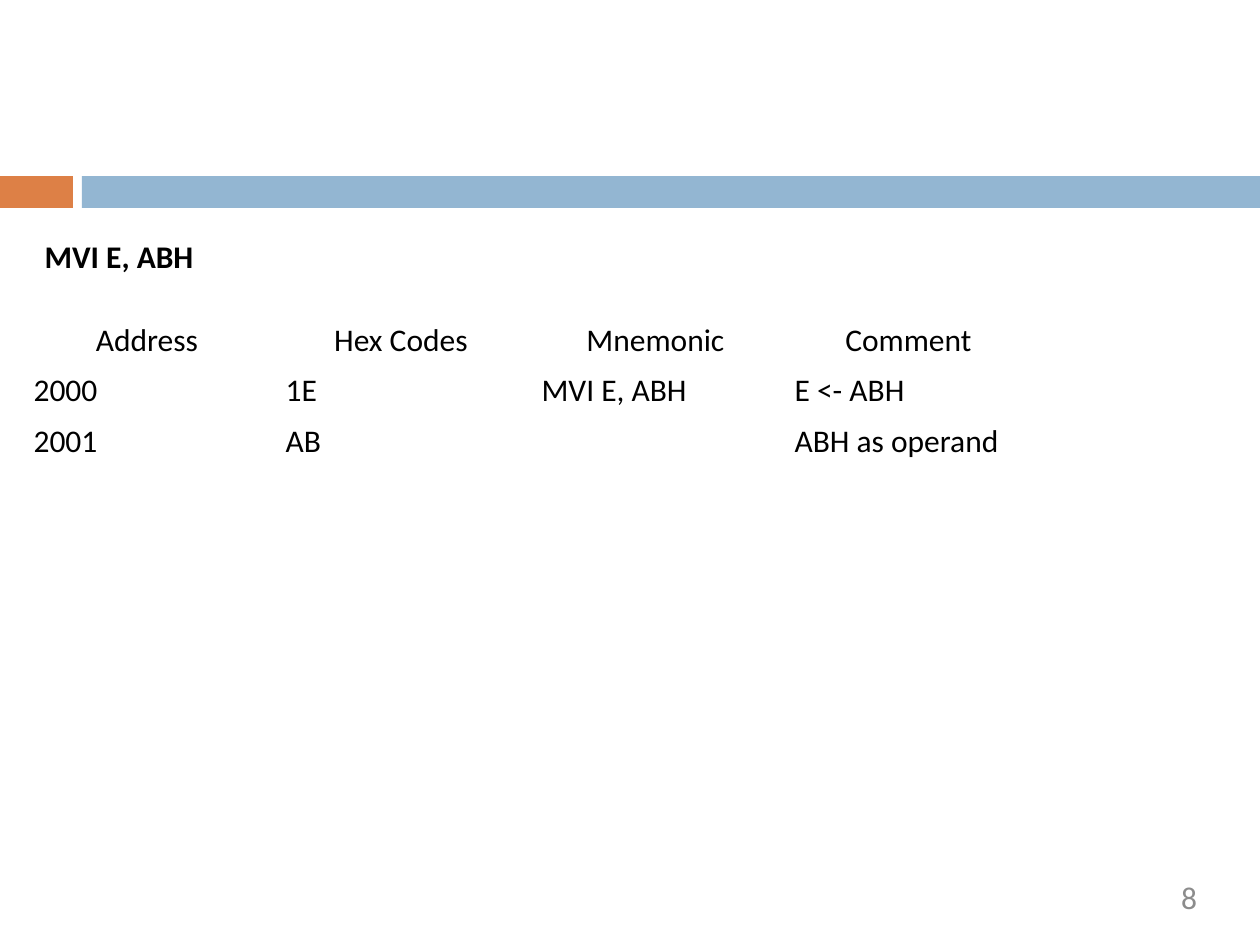
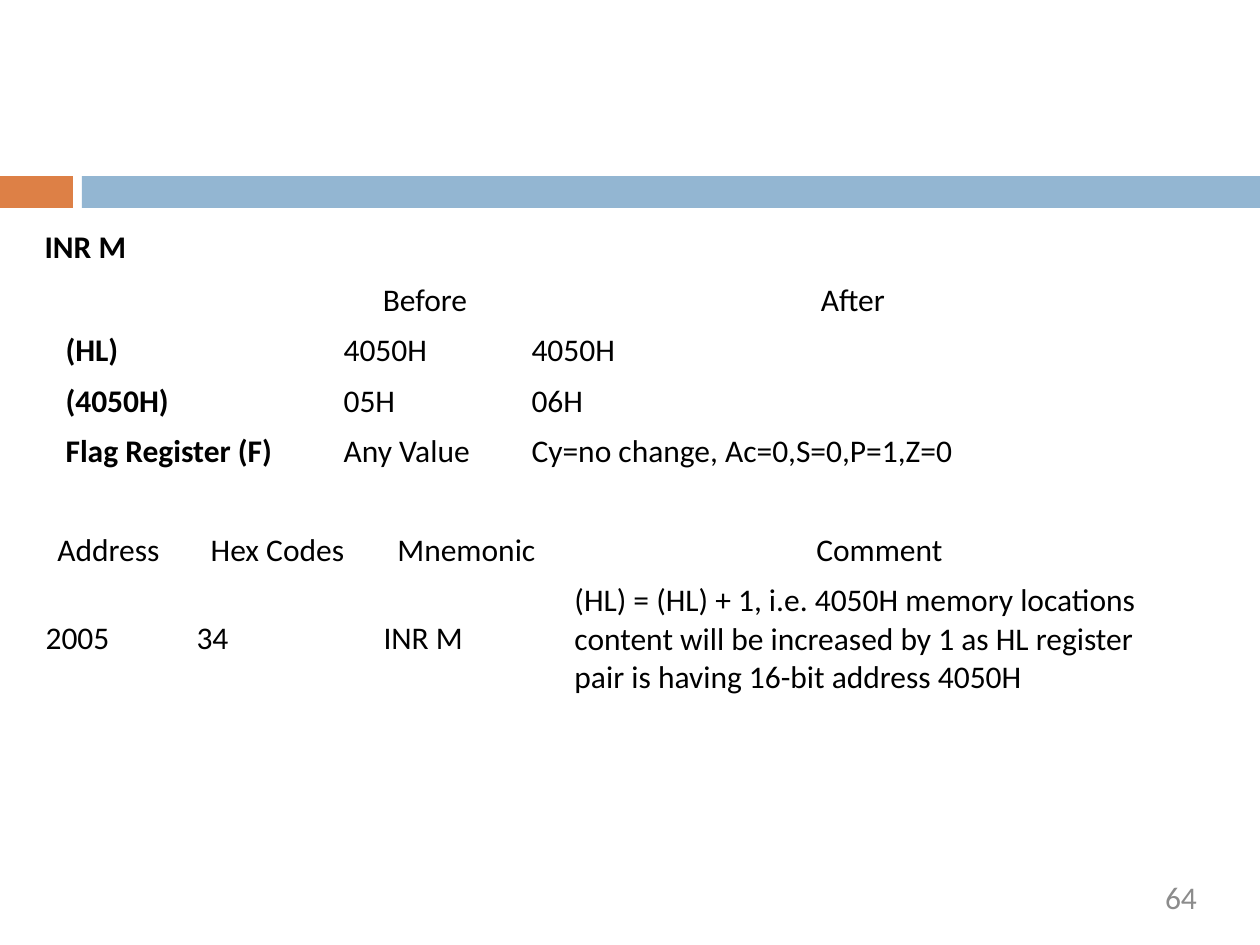
from dataclasses import dataclass

from pptx import Presentation
from pptx.dml.color import RGBColor
from pptx.enum.shapes import MSO_SHAPE
from pptx.enum.text import MSO_ANCHOR, MSO_AUTO_SIZE, PP_ALIGN
from pptx.presentation import Presentation as Deck
from pptx.slide import Slide
from pptx.text.text import TextFrame
from pptx.util import Emu, Pt

PX_PER_INCH = 126
EMU_PER_INCH = 914400
TITLE_ONLY = 5
FONT = "Calibri"
ROW_HEIGHT = 50

BLACK = RGBColor(0x00, 0x00, 0x00)
GRAY = RGBColor(0x8C, 0x8C, 0x8C)
ORANGE = RGBColor(0xDD, 0x80, 0x46)
BLUE = RGBColor(0x93, 0xB6, 0xD2)


def px(length: int) -> Emu:
    return Emu(round(length * EMU_PER_INCH / PX_PER_INCH))


@dataclass(frozen=True)
class Box:
    left: int
    top: int
    width: int
    height: int

    def emu(self) -> tuple[Emu, Emu, Emu, Emu]:
        return px(self.left), px(self.top), px(self.width), px(self.height)


@dataclass(frozen=True)
class Band:
    box: Box
    color: RGBColor


@dataclass(frozen=True)
class Grid:
    left: int
    top: int
    columns: tuple[int, ...]
    row_heights: tuple[int, ...]
    rows: tuple[tuple[str, ...], ...]
    bold_labels: bool = False


@dataclass(frozen=True)
class Instruction:
    title: str
    title_box: Box
    page: str
    grids: tuple[Grid, ...]


BANDS = (
    Band(Box(0, 176, 73, 32), ORANGE),
    Band(Box(82, 176, 1178, 32), BLUE),
)
PAGE_BOX = Box(907, 878, 290, 48)
CODE_HEADER = ("Address", "Hex Codes", "Mnemonic", "Comment")

INSTRUCTIONS = (
    Instruction(
        "MVI E, ABH",
        Box(32, 231, 183, 50),
        "8",
        (
            Grid(
                21, 315, (252, 256, 253, 253), (ROW_HEIGHT,) * 3,
                (
                    CODE_HEADER,
                    ("2000", "1E", "MVI E, ABH", "E <- ABH"),
                    ("2001", "AB", "", "ABH as operand"),
                ),
            ),
        ),
    ),
    Instruction(
        "INR M",
        Box(32, 221, 115, 50),
        "64",
        (
            Grid(
                53, 275, (278, 188, 668), (ROW_HEIGHT,) * 4,
                (
                    ("", "Before", "After"),
                    ("(HL)", "4050H", "4050H"),
                    ("(4050H)", "05H", "06H"),
                    ("Flag Register (F)", "Any Value",
                     "Cy=no change, Ac=0,S=0,P=1,Z=0"),
                ),
                bold_labels=True,
            ),
            Grid(
                33, 525, (151, 187, 191, 635), (ROW_HEIGHT, 126),
                (
                    CODE_HEADER,
                    ("2005", "34", "INR M",
                     "(HL) = (HL) + 1, i.e. 4050H memory locations content "
                     "will be increased by 1 as HL register pair is having "
                     "16-bit address 4050H"),
                ),
            ),
        ),
    ),
)


def write(frame: TextFrame, text: str, *, size: int = 18,
          color: RGBColor = BLACK, bold: bool = False,
          align: PP_ALIGN = PP_ALIGN.LEFT) -> None:
    paragraph = frame.paragraphs[0]
    paragraph.alignment = align
    run = paragraph.add_run()
    run.text = text
    run.font.name = FONT
    run.font.size = Pt(size)
    run.font.bold = bold
    run.font.color.rgb = color


def draw_band(slide: Slide, band: Band) -> None:
    bar = slide.shapes.add_shape(MSO_SHAPE.RECTANGLE, *band.box.emu())
    bar.shadow.inherit = False
    bar.fill.solid()
    bar.fill.fore_color.rgb = band.color
    bar.line.fill.background()


def draw_title(slide: Slide, text: str, box: Box) -> None:
    title = slide.shapes.title
    title.left, title.top, title.width, title.height = box.emu()
    frame = title.text_frame
    frame.auto_size = MSO_AUTO_SIZE.NONE
    frame.word_wrap = False
    frame.vertical_anchor = MSO_ANCHOR.TOP
    write(frame, text, bold=True)


def draw_page_number(slide: Slide, page: str) -> None:
    frame = slide.shapes.add_textbox(*PAGE_BOX.emu()).text_frame
    frame.word_wrap = True
    frame.margin_left = frame.margin_right = 0
    frame.margin_top = frame.margin_bottom = 0
    write(frame, page, color=GRAY, align=PP_ALIGN.RIGHT)


def draw_grid(slide: Slide, grid: Grid) -> None:
    box = Box(grid.left, grid.top, sum(grid.columns), sum(grid.row_heights))
    table = slide.shapes.add_table(
        len(grid.rows), len(grid.columns), *box.emu()).table
    table.first_row = False
    table.horz_banding = False
    for column, width in zip(table.columns, grid.columns):
        column.width = px(width)
    for row, height in zip(table.rows, grid.row_heights):
        row.height = px(height)
    for row_index, texts in enumerate(grid.rows):
        align = PP_ALIGN.LEFT if row_index else PP_ALIGN.CENTER
        for column_index, text in enumerate(texts):
            cell = table.cell(row_index, column_index)
            cell.fill.background()
            cell.vertical_anchor = MSO_ANCHOR.MIDDLE
            if text:
                write(cell.text_frame, text, align=align,
                      bold=grid.bold_labels and column_index == 0)


def draw_instruction(deck: Deck, instruction: Instruction) -> None:
    slide = deck.slides.add_slide(deck.slide_layouts[TITLE_ONLY])
    for band in BANDS:
        draw_band(slide, band)
    draw_page_number(slide, instruction.page)
    draw_title(slide, instruction.title, instruction.title_box)
    for grid in instruction.grids:
        draw_grid(slide, grid)


def main() -> None:
    deck = Presentation()
    deck.slide_width, deck.slide_height = px(1260), px(945)
    for instruction in INSTRUCTIONS:
        draw_instruction(deck, instruction)
    deck.save("out.pptx")


if __name__ == "__main__":
    main()
